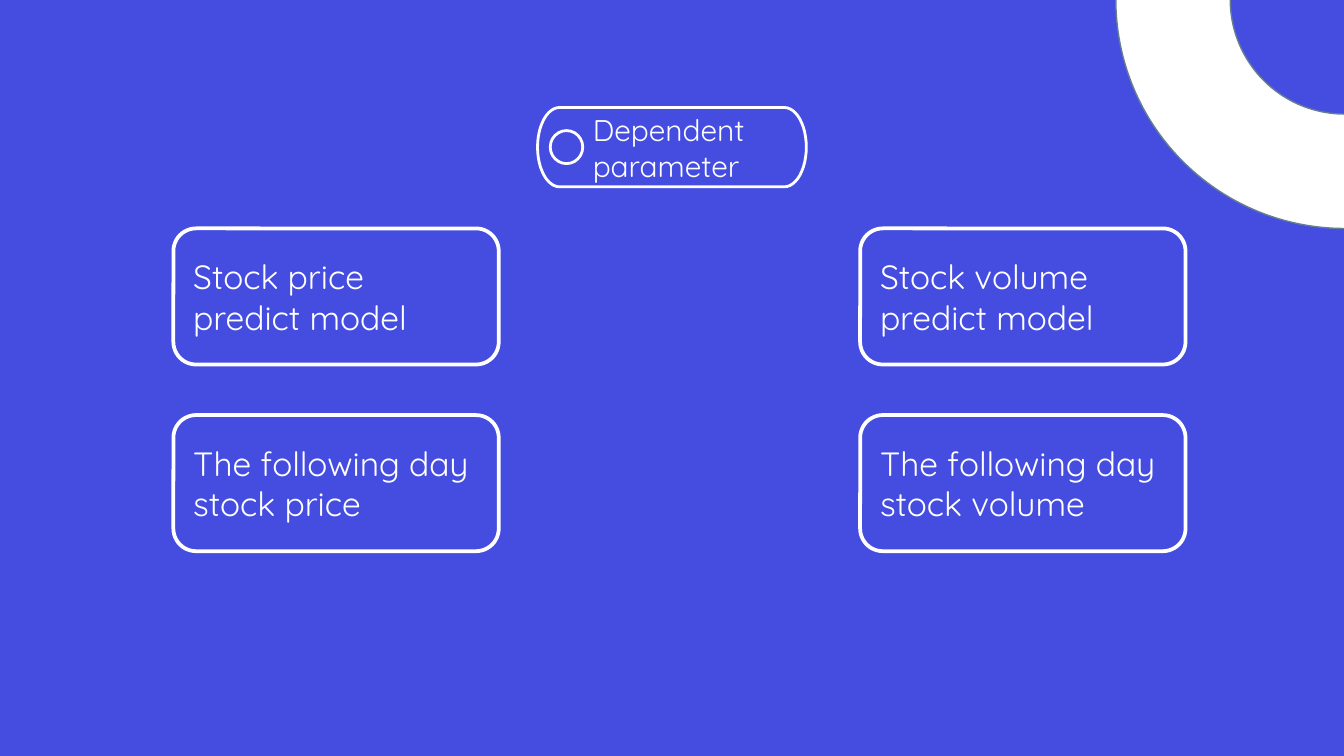
import math

import pptx
import pptx.dml.color
import pptx.enum.shapes
import pptx.enum.text
import pptx.util

Pt = pptx.util.Pt
SHAPE = pptx.enum.shapes.MSO_SHAPE

THEME = {
    "background": "454DE1", "light": "FFFFFF", "ring_edge": "667E92",
    "font": "Quicksand", "label_size": 16, "card_size": 18,
}

LABEL = "Dependent parameter"
COLUMNS = [
    ("Stock price predict model", "The following day stock price"),
    ("Stock volume predict model", "The following day stock volume"),
]

# Lengths in points
SLIDE = (720, 405)
CARD_ORIGIN, CARD_SIZE, CARD_STEP = (92.9, 122.4), (174.3, 72.9), (367.9, 100)
PILL = (288, 57.6, 144, 42.5)
PILL_END = 11.8
BULLET = (294.8, 70, 17.4, 17.7)
RING = (597.8, -122.8, 245.2, 245.2)


def color(name):
    return pptx.dml.color.RGBColor.from_string(THEME[name])


def style(sp, line="light", width=1.5, fill=None):
    sp.shadow.inherit = False
    if fill:
        sp.fill.solid()
        sp.fill.fore_color.rgb = color(fill)
    else:
        sp.fill.background()
    sp.line.color.rgb = color(line)
    sp.line.width = Pt(width)
    return sp


def add_shape(s, kind, box, **look):
    return style(s.shapes.add_shape(kind, *map(Pt, box)), **look)


def add_pill(s, box, end, steps=24):
    """Draw a bar whose two ends are half ellipses, each as wide as end."""
    x, y, w, h = box
    points = []
    for center, first in ((x + end, 90), (x + w - end, 270)):
        for i in range(steps + 1):
            a = math.radians(first + 180 * i / steps)
            points.append((Pt(center + end * math.cos(a)),
                           Pt(y + h / 2 - h / 2 * math.sin(a))))
    builder = s.shapes.build_freeform(*points[0])
    builder.add_line_segments(points[1:], close=True)
    return style(builder.convert_to_shape())


def write(sp, text, size, inset=(7.2, 3.6), indent=0):
    tf = sp.text_frame
    tf.word_wrap = True
    tf.vertical_anchor = pptx.enum.text.MSO_ANCHOR.MIDDLE
    tf.margin_left = tf.margin_right = Pt(inset[0])
    tf.margin_top = tf.margin_bottom = Pt(inset[1])
    p = tf.paragraphs[0]
    p.alignment = pptx.enum.text.PP_ALIGN.LEFT
    p._p.get_or_add_pPr().set("marL", str(int(Pt(indent))))
    r = p.add_run()
    r.text = text
    r.font.name = THEME["font"]
    r.font.size = Pt(THEME[size])
    r.font.color.rgb = color("light")


def main():
    prs = pptx.Presentation()
    prs.slide_width, prs.slide_height = map(Pt, SLIDE)
    s = prs.slides.add_slide(prs.slide_layouts[6])
    s.background.fill.solid()
    s.background.fill.fore_color.rgb = color("background")

    write(add_pill(s, PILL, PILL_END), LABEL, "label_size",
          inset=(7.2, 7.2), indent=22.5)
    add_shape(s, SHAPE.OVAL, BULLET)

    ring = add_shape(s, SHAPE.DONUT, RING, line="ring_edge", width=0.75, fill="light")
    ring.adjustments[0] = 0.25

    for col, texts in enumerate(COLUMNS):
        for row, text in enumerate(texts):
            corner = [o + n * d for o, n, d in zip(CARD_ORIGIN, (col, row), CARD_STEP)]
            card = add_shape(s, SHAPE.ROUNDED_RECTANGLE, (*corner, *CARD_SIZE), width=2)
            write(card, text, "card_size")

    prs.save("out.pptx")


if __name__ == "__main__":
    main()
